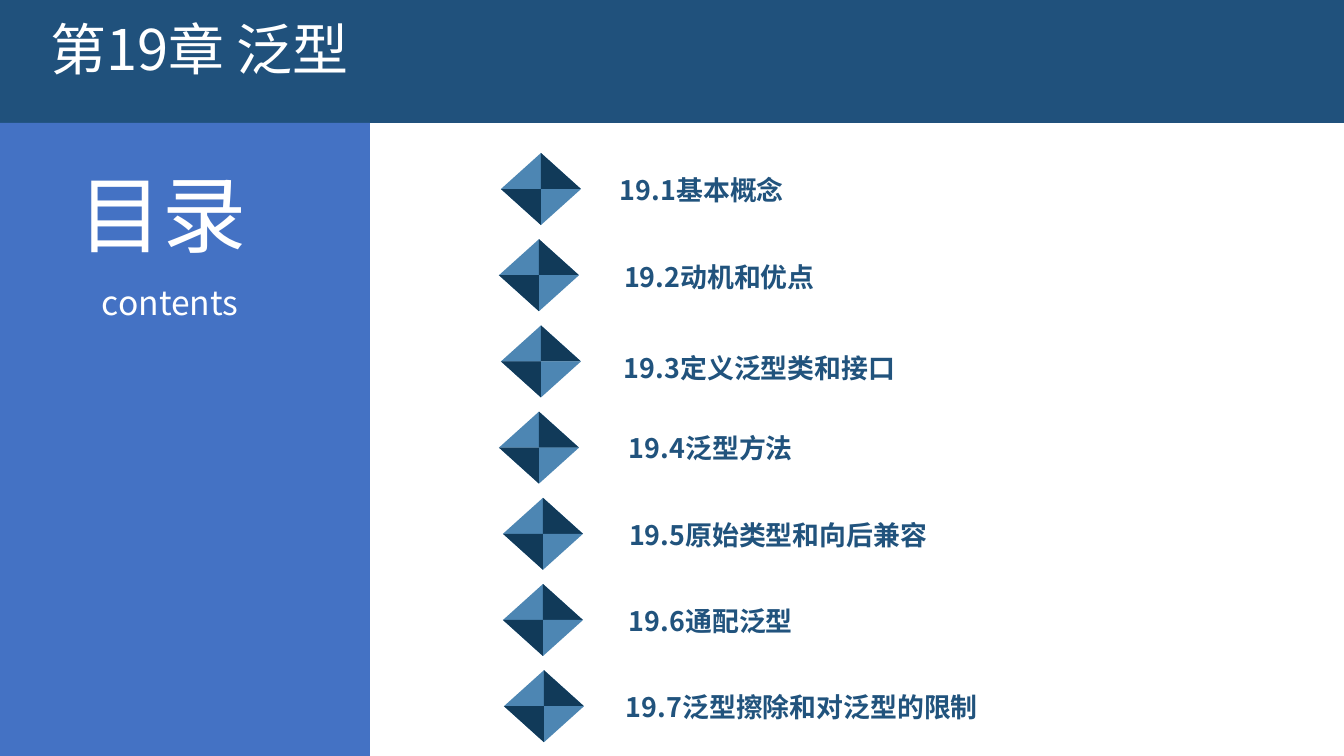
import pptx
import pptx.util
import pptx.dml.color
import pptx.enum.shapes
import pptx.enum.text
import pptx.oxml.ns
import lxml.etree

RGBColor = pptx.dml.color.RGBColor
ANCHOR = pptx.enum.text.MSO_ANCHOR
ALIGN = pptx.enum.text.PP_ALIGN
SHAPE = pptx.enum.shapes.MSO_SHAPE

NAVY = RGBColor(0x20, 0x51, 0x7C)
BLUE = RGBColor(0x44, 0x72, 0xC4)
STEEL = RGBColor(0x4D, 0x86, 0xB3)
DARK = RGBColor(0x11, 0x3A, 0x59)
LABEL = RGBColor(0x21, 0x53, 0x7D)
WHITE = RGBColor(0xFF, 0xFF, 0xFF)

FONT = "Noto Sans CJK SC"
PX = 914400 / 100.8

TITLE = ("第19章 泛型", (40, 17, 960, 78), 40, ALIGN.LEFT)
SIDEBAR_TEXTS = [
    ("目录", (69, 169, 221, 112), 60, ALIGN.JUSTIFY),
    ("contents", (92, 281, 175, 51), 24, ALIGN.JUSTIFY),
]
PANELS = [((-1, -1, 1347, 124), NAVY), ((0, 123, 370, 633), BLUE)]
SECTIONS = [
    ("19.1基本概念", 501, (612, 163, 224, 48), ANCHOR.TOP),
    ("19.2动机和优点", 499, (616, 250, 268, 48), ANCHOR.MIDDLE),
    ("19.3定义泛型类和接口", 501, (616, 341, 357, 48), ANCHOR.MIDDLE),
    ("19.4泛型方法", 499, (621, 421, 232, 48), ANCHOR.MIDDLE),
    ("19.5原始类型和向后兼容", 503, (621, 508, 390, 48), ANCHOR.TOP),
    ("19.6通配泛型", 503, (621, 594, 222, 48), ANCHOR.TOP),
    ("19.7泛型擦除和对泛型的限制", 504, (618, 680, 462, 48), ANCHOR.TOP),
]
DIAMOND_TOP, DIAMOND_STEP = 153, 86.2
HALF_WIDTH, HALF_HEIGHT = 40, 36


def emu(*lengths):
    return [round(length * PX) for length in lengths]


def set_all(target, values):
    for name, value in values.items():
        setattr(target, name, value)


def paint(shape, color):
    shape.shadow.inherit = False
    shape.fill.solid()
    shape.fill.fore_color.rgb = color
    shape.line.fill.background()


def write(shape, text, box, size, color, frame_format, paragraph_format, bold=False):
    set_all(shape, dict(zip(("left", "top", "width", "height"), emu(*box))))
    frame = shape.text_frame
    set_all(frame, frame_format)
    paragraph = frame.paragraphs[0]
    set_all(paragraph, paragraph_format)
    run = paragraph.add_run()
    run.text = text
    set_all(run.font, {"size": pptx.util.Pt(size), "bold": bold, "name": FONT})
    run.font.color.rgb = color
    properties = run.font._element
    east_asian = lxml.etree.SubElement(properties, pptx.oxml.ns.qn("a:ea"))
    east_asian.set("typeface", FONT)
    return properties


def write_heading(shape, text, box, size, alignment):
    frame_format = {
        "word_wrap": True,
        "vertical_anchor": ANCHOR.TOP,
        "auto_size": pptx.enum.text.MSO_AUTO_SIZE.SHAPE_TO_FIT_TEXT,
    }
    paragraph_format = {"alignment": alignment, "line_spacing": 0.9}
    write(shape, text, box, size, WHITE, frame_format, paragraph_format)


def write_section(shape, text, box, anchor):
    margin_x, margin_y = emu(8, 4)
    frame_format = {
        "word_wrap": False,
        "vertical_anchor": anchor,
        "auto_size": pptx.enum.text.MSO_AUTO_SIZE.SHAPE_TO_FIT_TEXT,
        "margin_left": margin_x,
        "margin_right": margin_x,
        "margin_top": margin_y,
        "margin_bottom": margin_y,
    }
    properties = write(shape, text, box, 24, LABEL, frame_format, {"alignment": ALIGN.LEFT}, True)
    properties.set("cap", "small")


def add_diamond(slide, left, top):
    group = slide.shapes.add_group_shape()
    center, middle = left + HALF_WIDTH, top + HALF_HEIGHT
    halves = [(top, 0, top, 1), (middle, 180, middle + HALF_HEIGHT, -1)]
    for half_top, rotation, tip, side in halves:
        box = emu(left, half_top, 2 * HALF_WIDTH, HALF_HEIGHT)
        triangle = group.shapes.add_shape(SHAPE.ISOSCELES_TRIANGLE, *box)
        triangle.rotation = rotation
        paint(triangle, STEEL)
        builder = group.shapes.build_freeform(*emu(center, tip), scale=1.0)
        corners = [(center, middle), (center + side * HALF_WIDTH, middle)]
        builder.add_line_segments([emu(*corner) for corner in corners], close=True)
        paint(builder.convert_to_shape(), DARK)


def main():
    presentation = pptx.Presentation()
    presentation.slide_width, presentation.slide_height = emu(1344, 756)
    slide = presentation.slides.add_slide(presentation.slide_layouts[5])
    title = slide.shapes.title

    for box, color in PANELS:
        panel = slide.shapes.add_shape(SHAPE.RECTANGLE, *emu(*box))
        paint(panel, color)
        slide.shapes._spTree.remove(panel._element)
        title._element.addprevious(panel._element)

    write_heading(title, *TITLE)
    for text, box, size, alignment in SIDEBAR_TEXTS:
        write_heading(slide.shapes.add_textbox(*emu(*box)), text, box, size, alignment)

    for index, (text, left, box, anchor) in enumerate(SECTIONS):
        add_diamond(slide, left, DIAMOND_TOP + index * DIAMOND_STEP)
        write_section(slide.shapes.add_textbox(*emu(*box)), text, box, anchor)

    presentation.save("out.pptx")


if __name__ == "__main__":
    main()
